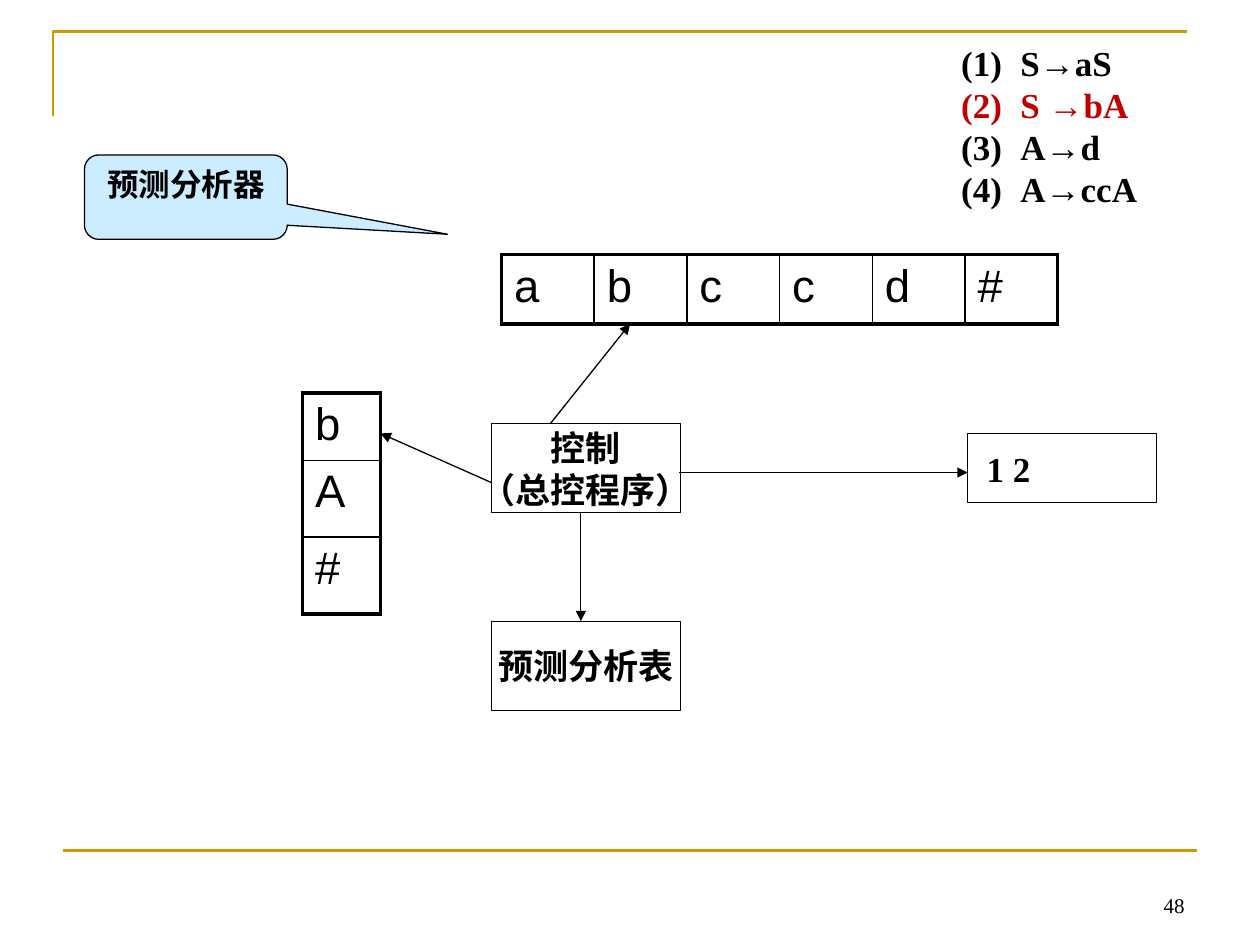
from pptx import Presentation
from pptx.dml.color import RGBColor
from pptx.enum.shapes import MSO_CONNECTOR as CONN, MSO_SHAPE as SHAPE
from pptx.enum.text import MSO_ANCHOR as ANCHOR, PP_ALIGN as ALIGN
from pptx.oxml.ns import qn
from pptx.util import Inches, Pt
from lxml.etree import SubElement, Element

BLACK, WHITE, GOLD, RED, SKY = "000000", "FFFFFF", "CC9900", "C00000", "CCECFF"
SERIF, SANS, CJK = "Times New Roman", "Arial", "Noto Sans CJK SC"
COLS, ROWS = 100, 75


def rgb(value):
    return RGBColor.from_string(value)


class Board:
    thin, medium, thick = 0.75, 1, 2.25

    def __init__(self, prs):
        self.slide = prs.slides.add_slide(prs.slide_layouts[6])
        self.shapes = self.slide.shapes
        self.dx = prs.slide_width / COLS
        self.dy = prs.slide_height / ROWS

    def x(self, cols):
        return round(cols * self.dx)

    def y(self, rows):
        return round(rows * self.dy)

    def box(self, left, top, width, height):
        return self.x(left), self.y(top), self.x(width), self.y(height)

    def style(self, p, size, font=SERIF, color=BLACK, bold=True, align=ALIGN.LEFT):
        p.alignment = align
        p.font.size, p.font.name, p.font.bold = Pt(size), font, bold
        p.font.color.rgb = rgb(color)
        latin = p._p.pPr.find(qn("a:defRPr")).find(qn("a:latin"))
        latin.addnext(Element(qn("a:ea"), typeface=CJK))

    def stroke(self, sp, color=BLACK, width=thin):
        sp.line.color.rgb = rgb(color)
        sp.line.width = Pt(width)

    def text(self, at, lines, size, anchor=ANCHOR.TOP, **font):
        sp = self.shapes.add_textbox(*self.box(*at))
        tf = sp.text_frame
        tf.word_wrap, tf.vertical_anchor = True, anchor
        tf.text = "\n".join(lines)
        for p in tf.paragraphs:
            self.style(p, size, **font)
        return tf.paragraphs

    def numbered(self, at, lines, size, marked):
        for i, p in enumerate(self.text(at, lines, size)):
            if i == marked:
                p.font.color.rgb = rgb(RED)
            pPr = p._p.pPr
            pPr.set("marL", str(self.x(4.7)))
            pPr.set("indent", str(-self.x(4.7)))
            pPr.insert(0, Element(qn("a:buAutoNum"), type="arabicParenBoth"))

    def shape(self, at, text, kind=SHAPE.RECTANGLE, fill=WHITE, size=20, font=SERIF,
              anchor=ANCHOR.MIDDLE, align=ALIGN.CENTER, wrap=False, inset=1):
        sp = self.shapes.add_shape(kind, *self.box(*at))
        sp.shadow.inherit = False
        sp.fill.solid()
        sp.fill.fore_color.rgb = rgb(fill)
        self.stroke(sp)
        tf = sp.text_frame
        tf.word_wrap, tf.vertical_anchor = wrap, anchor
        tf.margin_left = self.x(inset)
        tf.text = text
        for p in tf.paragraphs:
            self.style(p, size, font, align=align)
        return sp

    def line(self, x1, y1, x2, y2, color=BLACK, width=thin, arrow=False):
        sp = self.shapes.add_connector(CONN.STRAIGHT, self.x(x1), self.y(y1),
                                       self.x(x2), self.y(y2))
        self.stroke(sp, color, width)
        if arrow:
            SubElement(sp.line._get_or_add_ln(), qn("a:tailEnd"), type="triangle")
        SubElement(sp._element.spPr, qn("a:effectLst"))

    def outline(self, points, color, width):
        start, *rest = [(self.x(x), self.y(y)) for x, y in points]
        builder = self.shapes.build_freeform(*start)
        builder.add_line_segments(rest, close=False)
        sp = builder.convert_to_shape()
        sp.shadow.inherit = False
        sp.fill.background()
        self.stroke(sp, color, width)

    def table(self, left, top, widths, heights, rows):
        at = self.box(left, top, sum(widths), sum(heights))
        table = self.shapes.add_table(len(heights), len(widths), *at).table
        table.first_row = table.horz_banding = False
        for col, width in zip(table.columns, widths):
            col.width = self.x(width)
        for row, height in zip(table.rows, heights):
            row.height = self.y(height)
        for r, values in enumerate(rows):
            for c, value in enumerate(values):
                cell = table.cell(r, c)
                cell.text = value
                self.style(cell.text_frame.paragraphs[0], 26, SANS, bold=False)
                outer = {"lnL": c == 0, "lnR": c == len(widths) - 1,
                         "lnT": r == 0, "lnB": r == len(heights) - 1}
                self.borders(cell, outer)
                cell.fill.background()

    def borders(self, cell, outer):
        tcPr = cell._tc.get_or_add_tcPr()
        for side, is_outer in outer.items():
            width = self.thick if is_outer else self.medium
            ln = SubElement(tcPr, qn(f"a:{side}"), w=str(Pt(width)))
            SubElement(SubElement(ln, qn("a:solidFill")), qn("a:srgbClr"), val=BLACK)


def main():
    prs = Presentation()
    prs.slide_width, prs.slide_height = Inches(10), Inches(7.5)
    b = Board(prs)

    b.outline([(4.2, 9.2), (4.2, 2.5), (94.2, 2.5)], GOLD, 1.5)
    b.line(5, 67.5, 95, 67.5, GOLD, 1.5)
    b.text((71.7, 68.3, 23.3, 5), ["48"], 12, ANCHOR.BOTTOM, bold=False, align=ALIGN.RIGHT)

    b.table(39.8, 20.2, [7.36] * 6, [5.5], ["abccd#"])
    b.shape((39, 33.6, 15, 7.1), "控制\n（总控程序）")
    b.shape((39, 49.3, 15, 7.1), "预测分析表")
    b.shape((76.8, 34.4, 15, 5.5), "1 2", align=ALIGN.LEFT, wrap=True, inset=1.5)

    for ends in [(43.7, 33.6, 50, 25.7), (53.9, 37.5, 76.8, 37.5),
                 (46.1, 40.7, 46.1, 49.3), (39, 38.3, 30.2, 34.4)]:
        b.line(*ends, arrow=True)

    callout = b.shape((6.7, 12.3, 16.1, 6.7), "预测分析器", SHAPE.ROUNDED_RECTANGULAR_CALLOUT,
                      SKY, 18, CJK, ANCHOR.TOP, wrap=True)
    for i, value in enumerate([1.29, 0.44, 0.17]):
        callout.adjustments[i] = value

    b.table(24, 31.2, [6.2], [5.3, 6.1, 6.1], "bA#")
    b.numbered((75.3, 2.8, 19.7, 14.5), ["S→aS", "S →bA", "A→d", "A→ccA"], 20, marked=1)

    prs.save("out.pptx")


if __name__ == "__main__":
    main()
